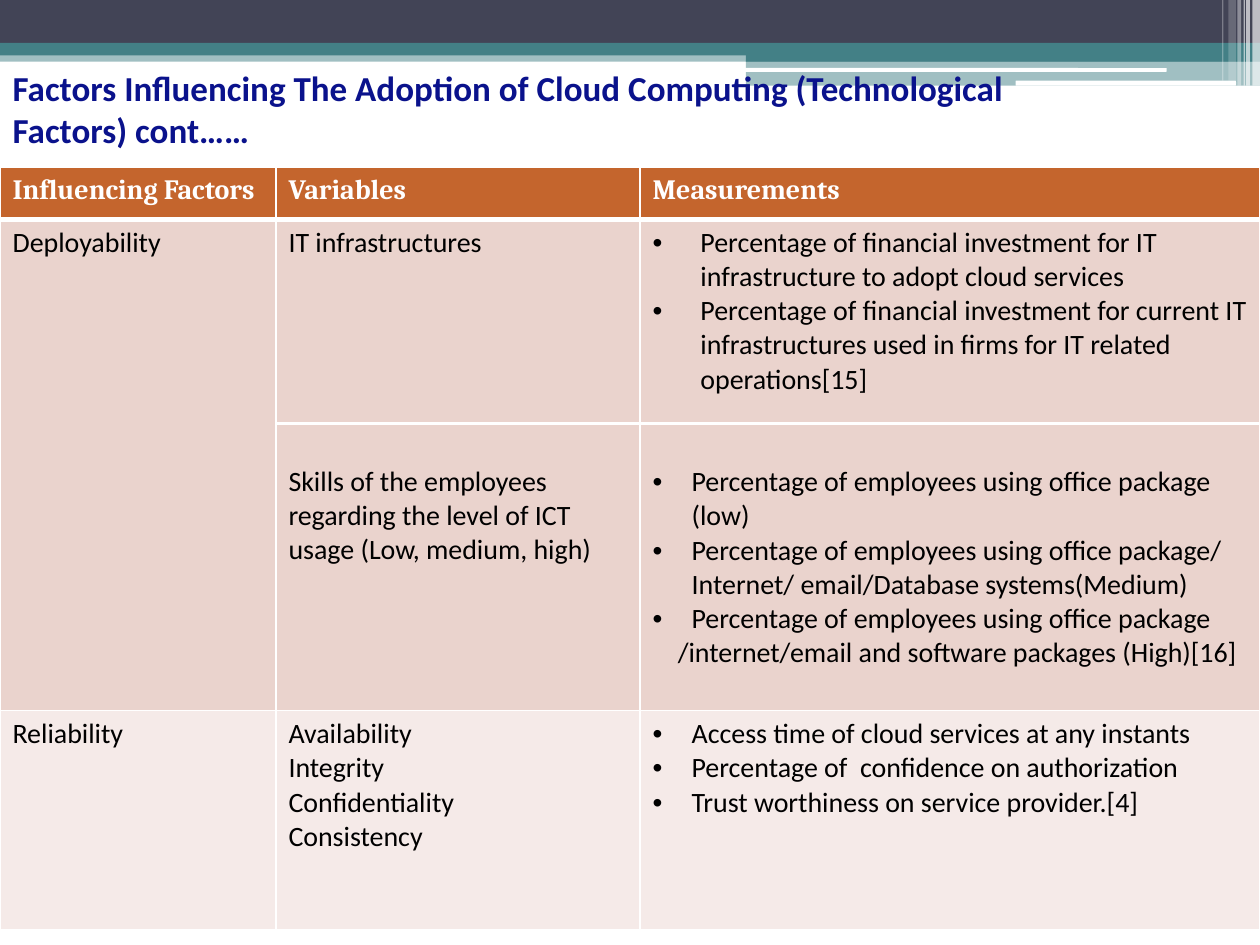
from dataclasses import dataclass

from lxml.etree import SubElement
from pptx import Presentation
from pptx.dml.color import RGBColor
from pptx.enum.shapes import MSO_CONNECTOR as Connector, MSO_SHAPE as Preset
from pptx.enum.text import MSO_ANCHOR as Anchor, MSO_AUTO_SIZE as Fit, PP_ALIGN as Align
from pptx.oxml.ns import qn
from pptx.util import Inches, Pt

COLUMNS, ROWS = 1000, 750
CELL = Inches(10) // COLUMNS


@dataclass(frozen=True)
class Theme:
    dark: str = "424456"
    teal: str = "438086"
    white: str = "FFFFFF"
    black: str = "000000"
    header: str = "C4652D"
    bands: tuple = ("EAD3CD", "F5EAE8")
    title_stops: tuple = ((0, "000000"), (40, "0A128C"), (70, "181CC7"),
                          (88, "7005D4"), (100, "8C3D91"))
    title_size: int = 20
    table_size: int = 16
    line_height: float = 19.5
    body_font: str = "Calibri"
    header_font: str = "Cambria"


@dataclass(frozen=True)
class Box:
    left: int
    top: int
    width: int
    height: int

    def inner(self, left, top, width, height):
        return Box(self.left + left, self.top + top, width, height)

    def lengths(self):
        return [n * CELL for n in (self.left, self.top, self.width, self.height)]


@dataclass(frozen=True)
class Item:
    text: str
    indent: int = 0
    bullet: bool = False
    lines_before: int = 0


THEME = Theme()
WIDE, NARROW = 38, 31

BANDS = [
    (0, 40, 1000, 9, THEME.teal, 50),
    (0, 0, 1000, 34, THEME.dark, 100),
    (0, 34, 1000, 10, THEME.teal, 100),
    (592, 39, 408, 10, THEME.teal, 100),
    (592, 48, 408, 20, THEME.teal, 50),
]
BARS = [(591, 54, 335, 3), (806, 64, 175, 4)]
STRIPES = [(994, 6, 68, 65), (989, 3, 68, 65), (987, 1, 68, 60), (982, 3, 68, 40),
           (975, 6, 64, 20), (970, 1, 64, 30)]

HEADINGS = ["Influencing Factors", "Variables", "Measurements"]
FACTORS = [
    [
        [Item("Deployability")],
        [Item("IT infrastructures"),
         Item("Skills of the employees regarding the level of ICT usage (Low, medium, high)",
              lines_before=6)],
        [Item("Percentage of financial investment for IT infrastructure to adopt cloud services",
              WIDE, True),
         Item("Percentage of financial investment for current IT infrastructures used in firms "
              "for IT related operations[15]", WIDE, True),
         Item("Percentage of employees using office package (low)", NARROW, True, 2),
         Item("Percentage of employees using office package/ Internet/ email/Database "
              "systems(Medium)", NARROW, True),
         Item("Percentage of employees using office package", NARROW, True),
         Item("/internet/email and software packages (High)[16]", 20)],
    ],
    [
        [Item("Reliability")],
        [Item(name) for name in ("Availability", "Integrity", "Confidentiality", "Consistency")],
        [Item(measure, NARROW, True) for measure in (
            "Access time of cloud services at any instants",
            "Percentage of  confidence on authorization",
            "Trust worthiness on service provider.[4]")],
    ],
]


def apply(target, formats):
    for name, value in formats.items():
        setattr(target, name, value)


def paint(fill, color, opacity=100):
    fill.solid()
    fill.fore_color.rgb = RGBColor.from_string(color)
    if opacity < 100:
        tint = fill._xPr.find(qn("a:solidFill"))[0]
        SubElement(tint, qn("a:alpha"), val=str(opacity * 1000))


def add_block(slide, box, color, opacity=100, preset=Preset.RECTANGLE):
    block = slide.shapes.add_shape(preset, *box.lengths())
    block.shadow.inherit = False
    block.line.fill.background()
    paint(block.fill, color, opacity)


def draw_banner(slide, box):
    for *place, color, opacity in BANDS:
        add_block(slide, box.inner(*place), color, opacity)
    for place in BARS:
        add_block(slide, box.inner(*place), THEME.white, preset=Preset.ROUNDED_RECTANGLE)
    for left, width, height, opacity in STRIPES:
        add_block(slide, box.inner(left, 0, width, height), THEME.white, opacity)


def write_title(slide, box):
    title = slide.shapes.title
    title.element.getparent().append(title.element)
    apply(title, dict(zip(("left", "top", "width", "height"), box.lengths())))
    frame = title.text_frame
    apply(frame, {"word_wrap": True, "auto_size": Fit.NONE, "vertical_anchor": Anchor.MIDDLE})
    heading = frame.paragraphs[0]
    heading.alignment = Align.LEFT
    run = heading.add_run()
    run.text = ("Factors Influencing The Adoption of Cloud Computing "
                "(Technological Factors) cont……")
    apply(run.font, {"size": Pt(THEME.title_size), "bold": True, "name": THEME.body_font})
    run.font.fill.gradient()
    run.font.fill.gradient_angle = 270
    stops = run.font._element.find(qn("a:gradFill")).find(qn("a:gsLst"))
    for stop in list(stops):
        stops.remove(stop)
    for position, color in THEME.title_stops:
        stop = SubElement(stops, qn("a:gs"), pos=str(position * 1000))
        SubElement(stop, qn("a:srgbClr"), val=color)


def style_cell(cell, color, top=1, bottom=1):
    properties = cell._tc.get_or_add_tcPr()
    for side, points in (("L", 1), ("R", 1), ("T", top), ("B", bottom)):
        border = SubElement(properties, qn(f"a:ln{side}"), w=str(Pt(points)))
        SubElement(SubElement(border, qn("a:solidFill")), qn("a:srgbClr"), val=THEME.white)
    paint(cell.fill, color)


def write_items(cell, items, color, font_name, bold=False):
    frame = cell.text_frame
    for index, item in enumerate(items):
        paragraph = frame.add_paragraph() if index else frame.paragraphs[0]
        if item.lines_before:
            paragraph.space_before = Pt(item.lines_before * THEME.line_height)
        if item.indent:
            properties = paragraph._p.get_or_add_pPr()
            properties.set("marL", str(item.indent * CELL))
            if item.bullet:
                properties.set("indent", str(-item.indent * CELL))
                SubElement(properties, qn("a:buFont"), typeface="Arial")
                SubElement(properties, qn("a:buChar"), char="•")
        run = paragraph.add_run()
        run.text = item.text
        apply(run.font, {"size": Pt(THEME.table_size), "bold": bold, "name": font_name})
        run.font.color.rgb = RGBColor.from_string(color)


def draw_factors(slide, box, widths, heights):
    table = slide.shapes.add_table(len(heights), len(widths), *box.lengths()).table
    for column, width in zip(table.columns, widths):
        column.width = width * CELL
    for row, height in zip(table.rows, heights):
        row.height = height * CELL
    for column, heading in enumerate(HEADINGS):
        cell = table.cell(0, column)
        style_cell(cell, THEME.header, bottom=3)
        write_items(cell, [Item(heading)], THEME.white, THEME.header_font, True)
    for row, (factor, band) in enumerate(zip(FACTORS, THEME.bands), 1):
        for column, items in enumerate(factor):
            cell = table.cell(row, column)
            style_cell(cell, band, top=3 if row == 1 else 1)
            write_items(cell, items, THEME.black, THEME.body_font)

    level = (box.top + 203) * CELL
    divider = slide.shapes.add_connector(
        Connector.STRAIGHT, (box.left + widths[0] + 1) * CELL, level,
        (box.left + box.width) * CELL, level)
    divider.line.width = Pt(2)
    divider.line.color.rgb = RGBColor.from_string(THEME.white)
    SubElement(divider.element.spPr, qn("a:effectLst"))


def main():
    deck = Presentation()
    apply(deck, {"slide_width": COLUMNS * CELL, "slide_height": ROWS * CELL})
    slide = deck.slides.add_slide(deck.slide_layouts[5])
    draw_banner(slide, Box(0, 0, COLUMNS, 68))
    write_title(slide, Box(0, 47, 900, 78))
    draw_factors(slide, Box(0, 133, COLUMNS, 605), (219, 289, 492), (41, 390, 174))
    deck.save("out.pptx")


if __name__ == "__main__":
    main()
